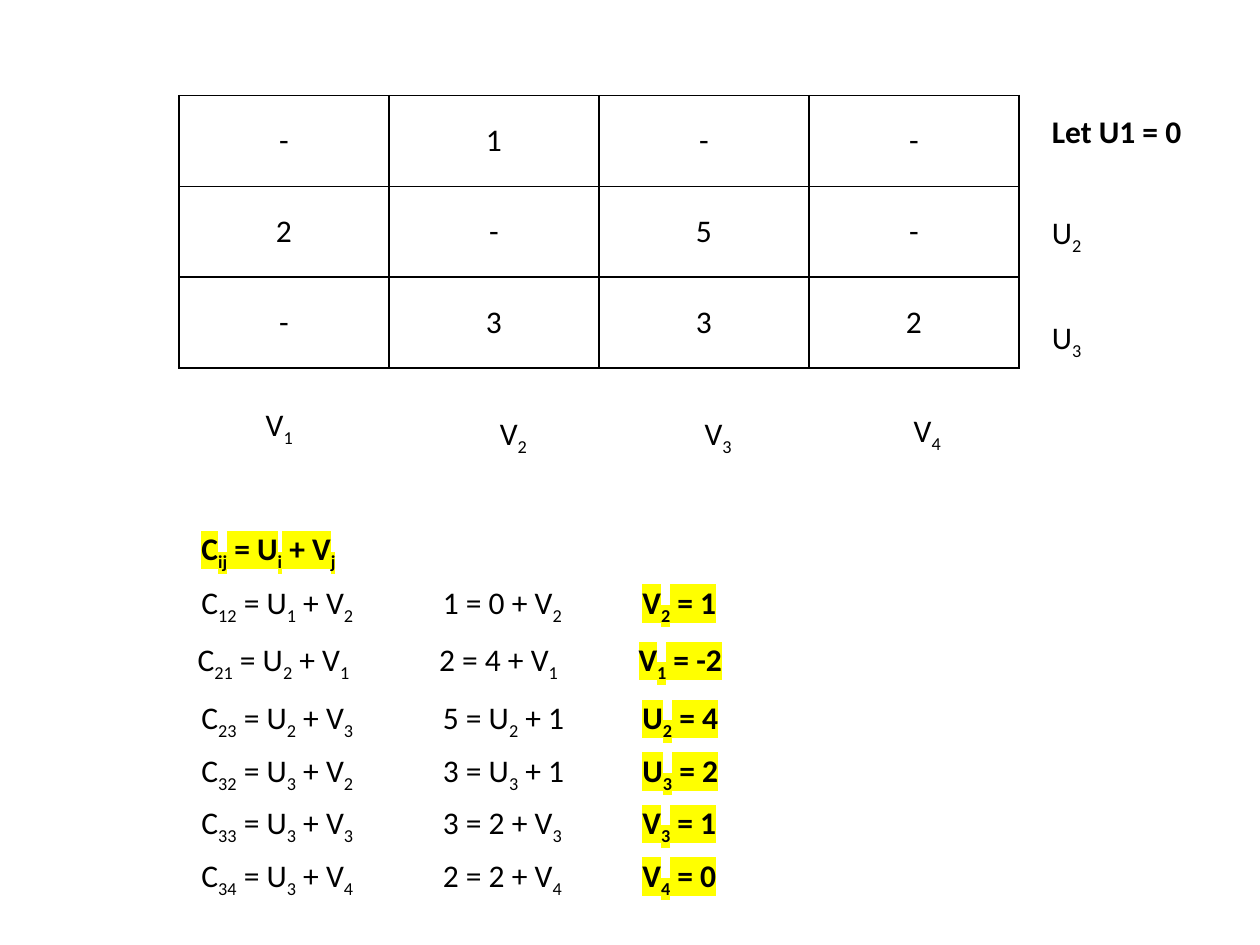
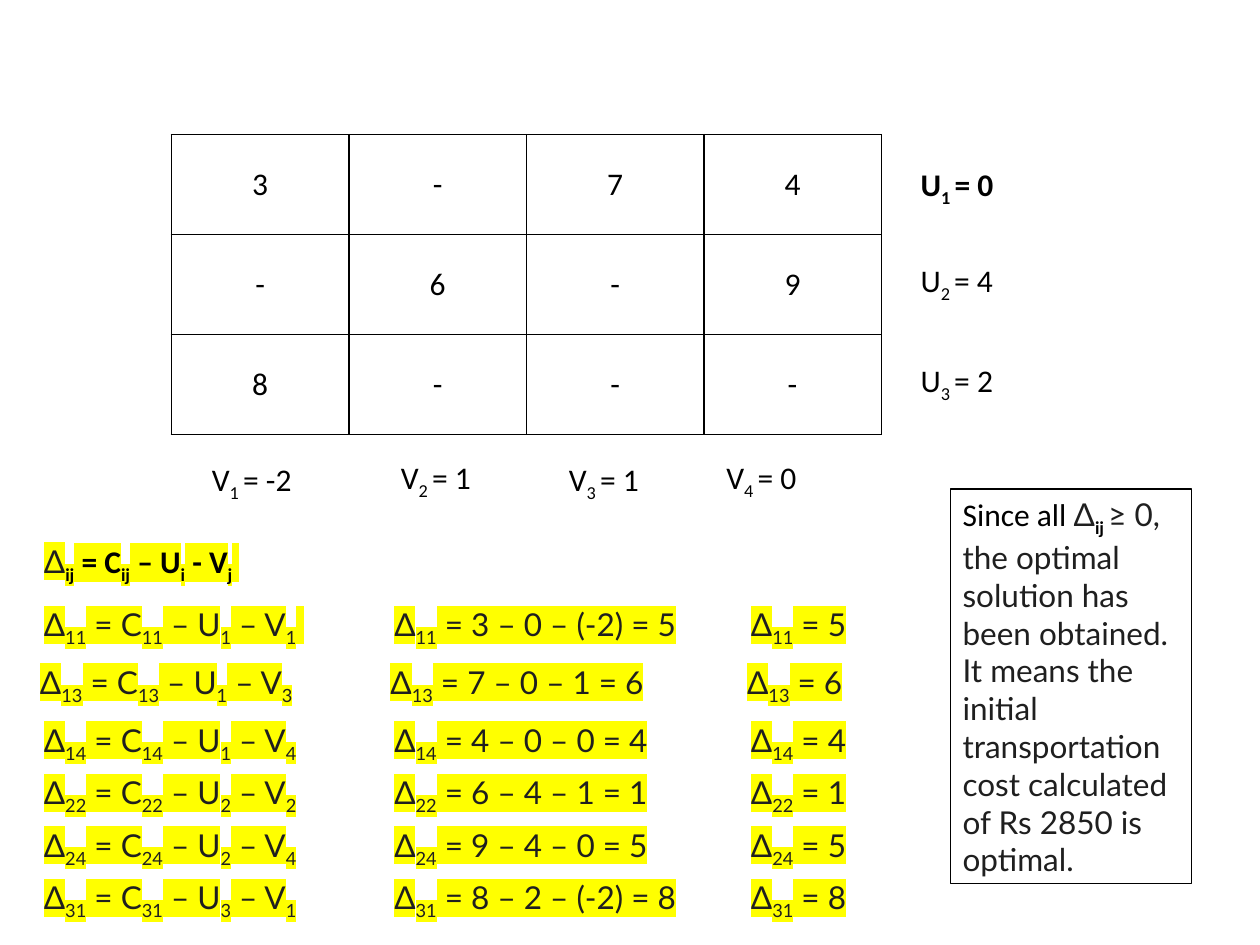
"""Build two slides checking a transportation solution for optimality."""
import pptx
import pptx.util
import pptx.dml.color
import pptx.enum.shapes
import pptx.enum.text
from lxml import etree
from pptx.oxml.ns import qn

Pt = pptx.util.Pt

COLORS = {"black": "000000", "ink": "1F1F1F", "yellow": "FFFF00", "white": "FFFFFF"}

# Each style: font, colour, bold, highlight. Subscripts are written in braces.
STYLES = {
    "plain": ("Calibri", "black", False, None),
    "bold": ("Calibri", "black", True, None),
    "result": ("Calibri", "black", True, "yellow"),
    "delta": ("Lato", "ink", False, "yellow"),
    "symbol": ("Lato", "ink", False, None),
    "verdict": ("Lato", "ink", False, "white"),
}

FONT_SIZE = 18
LINE_HEIGHT = 29
STEP_OFFSETS = [0, 33, 66, 96, 126, 156]
STEP_NUDGES = [0, -2.2, 0, 0, 0, 0]

POTENTIALS = {
    "grid": {
        "left": 102.25, "top": 54.7, "column": 120, "row": 51.84,
        "costs": ["-1--", "2-5-", "-332"],
    },
    "labels": [
        ("Let U1 = 0", "bold", 594, 60.5, 96),
        ("U{2}", "plain", 594, 118.2, 54),
        ("U{3}", "plain", 594, 178.2, 54),
        ("V{1}", "plain", 144.7, 227.7, 48),
        ("V{2}", "plain", 278.5, 232.8, 48),
        ("V{3}", "plain", 395.5, 232.8, 48),
        ("V{4}", "plain", 515, 231.6, 48),
    ],
    "rule": ([("C{ij} = U{i} + V{j}", "result")], 108, 299),
    "steps_top": 329.4,
    "columns": [(108, 132, "plain"), (246, 90, "plain"), (360, 90, "result")],
    "steps": [
        ("C{12} = U{1} + V{2}", "1 = 0 + V{2}", "V{2} = 1"),
        ("C{21} = U{2} + V{1}", "2 = 4 + V{1}", "V{1} = -2"),
        ("C{23} = U{2} + V{3}", "5 = U{2} + 1", "U{2} = 4"),
        ("C{32} = U{3} + V{2}", "3 = U{3} + 1", "U{3} = 2"),
        ("C{33} = U{3} + V{3}", "3 = 2 + V{3}", "V{3} = 1"),
        ("C{34} = U{3} + V{4}", "2 = 2 + V{4}", "V{4} = 0"),
    ],
}

OPPORTUNITY = {
    "grid": {
        "left": 98, "top": 77, "column": 101.4, "row": 57.12,
        "costs": ["3-74", "-6-9", "8---"],
    },
    "labels": [
        ("U{1 }= 0", "bold", 519, 90.9, 102),
        ("U{2 }= 4", "plain", 519, 145.4, 81),
        ("U{3 }= 2", "plain", 519, 203, 93),
        ("V{1 }= -2", "plain", 114, 259.2, 66),
        ("V{2 }= 1", "plain", 222, 258, 66),
        ("V{3 }= 1", "plain", 318, 259.2, 78),
        ("V{4 }= 0", "plain", 408, 258, 78),
    ],
    "rule": ([("Δ", "delta"), ("{ij} = C{ij} – U{i} - V{j} ", "result")], 18, 306),
    "steps_top": 342.4,
    "columns": [(18, 224, "delta"), (218.2, 178, "delta"), (422, 178, "delta")],
    "steps": [
        ("Δ{11} = C{11} – U{1} – V{1} ", "Δ{11} = 3 – 0 – (-2) = 5", "Δ{11} = 5"),
        ("Δ{13} = C{13} – U{1} – V{3}", "Δ{13} = 7 – 0 – 1 = 6", "Δ{13} = 6"),
        ("Δ{14} = C{14} – U{1} – V{4}", "Δ{14} = 4 – 0 – 0 = 4", "Δ{14} = 4"),
        ("Δ{22} = C{22} – U{2} – V{2}", "Δ{22} = 6 – 4 – 1 = 1", "Δ{22} = 1"),
        ("Δ{24} = C{24} – U{2} – V{4}", "Δ{24} = 9 – 4 – 0 = 5", "Δ{24} = 5"),
        ("Δ{31} = C{31} – U{3} – V{1}", "Δ{31} = 8 – 2 – (-2) = 8", "Δ{31} = 8"),
    ],
}

CONCLUSION = [
    ("Since all ", "plain"), ("Δ", "symbol"), ("{ij }", "bold"),
    ("≥ 0, the optimal solution has been obtained. It means the initial "
     "transportation cost calculated of Rs 2850 is optimal.", "verdict"),
]
CONCLUSION_AREA = (543, 279.4, 138, 225.4)


def rgb(color):
    return pptx.dml.color.RGBColor.from_string(COLORS[color])


def add_runs(paragraph, spans):
    for text, style in spans:
        font_name, color, bold, highlight = STYLES[style]
        for position, piece in enumerate(text.replace("}", "{").split("{")):
            if not piece:
                continue
            run = paragraph.add_run()
            run.text = piece
            run.font.size = Pt(FONT_SIZE)
            run.font.bold = bold
            run.font.color.rgb = rgb(color)
            properties = run.font._element
            if highlight:
                marker = etree.SubElement(properties, qn("a:highlight"))
                etree.SubElement(marker, qn("a:srgbClr"), val=COLORS[highlight])
            run.font.name = font_name
            if position % 2:
                properties.set("baseline", "-25000")


def fill_frame(frame, spans):
    frame.word_wrap = True
    frame.auto_size = pptx.enum.text.MSO_AUTO_SIZE.SHAPE_TO_FIT_TEXT
    add_runs(frame.paragraphs[0], spans)


def add_formula(slide, spans, left, top, width):
    formula = slide.shapes.add_textbox(Pt(left), Pt(top), Pt(width), Pt(LINE_HEIGHT))
    fill_frame(formula.text_frame, spans)


def outline_cell(cell):
    properties = cell._tc.get_or_add_tcPr()
    for side in ("lnL", "lnR", "lnT", "lnB"):
        border = etree.SubElement(properties, qn("a:" + side), w=str(Pt(1)))
        paint = etree.SubElement(border, qn("a:solidFill"))
        etree.SubElement(paint, qn("a:srgbClr"), val=COLORS["black"])
    cell.fill.background()


def add_cost_grid(slide, left, top, column, row, costs):
    row_count, column_count = len(costs), len(costs[0])
    grid = slide.shapes.add_table(
        row_count, column_count, Pt(left), Pt(top),
        Pt(column * column_count), Pt(row * row_count)).table
    grid.first_row = grid.horz_banding = False
    for grid_row, values in zip(grid.rows, costs):
        grid_row.height = Pt(row)
        for cell, value in zip(grid_row.cells, values):
            outline_cell(cell)
            cell.vertical_anchor = pptx.enum.text.MSO_ANCHOR.MIDDLE
            paragraph = cell.text_frame.paragraphs[0]
            paragraph.alignment = pptx.enum.text.PP_ALIGN.CENTER
            add_runs(paragraph, [(value, "plain")])


def add_working(deck, content):
    slide = deck.slides.add_slide(deck.slide_layouts[6])
    add_cost_grid(slide, **content["grid"])
    for text, style, left, top, width in content["labels"]:
        add_formula(slide, [(text, style)], left, top, width)
    spans, left, top = content["rule"]
    add_formula(slide, spans, left, top, 564)
    for step, offset, nudge in zip(content["steps"], STEP_OFFSETS, STEP_NUDGES):
        for text, (left, width, style) in zip(step, content["columns"]):
            add_formula(slide, [(text, style)], left + nudge,
                        content["steps_top"] + offset, width)
    return slide


def add_conclusion(slide):
    conclusion = slide.shapes.add_shape(
        pptx.enum.shapes.MSO_SHAPE.RECTANGLE, *map(Pt, CONCLUSION_AREA))
    conclusion.shadow.inherit = False
    conclusion.fill.background()
    conclusion.line.color.rgb = rgb("black")
    conclusion.line.width = Pt(0.75)
    fill_frame(conclusion.text_frame, CONCLUSION)
    conclusion.text_frame.vertical_anchor = pptx.enum.text.MSO_ANCHOR.TOP
    conclusion.text_frame.paragraphs[0].alignment = pptx.enum.text.PP_ALIGN.LEFT


def main():
    deck = pptx.Presentation()
    deck.slide_width, deck.slide_height = Pt(720), Pt(540)
    add_working(deck, POTENTIALS)
    add_conclusion(add_working(deck, OPPORTUNITY))
    deck.save("out.pptx")


if __name__ == "__main__":
    main()
